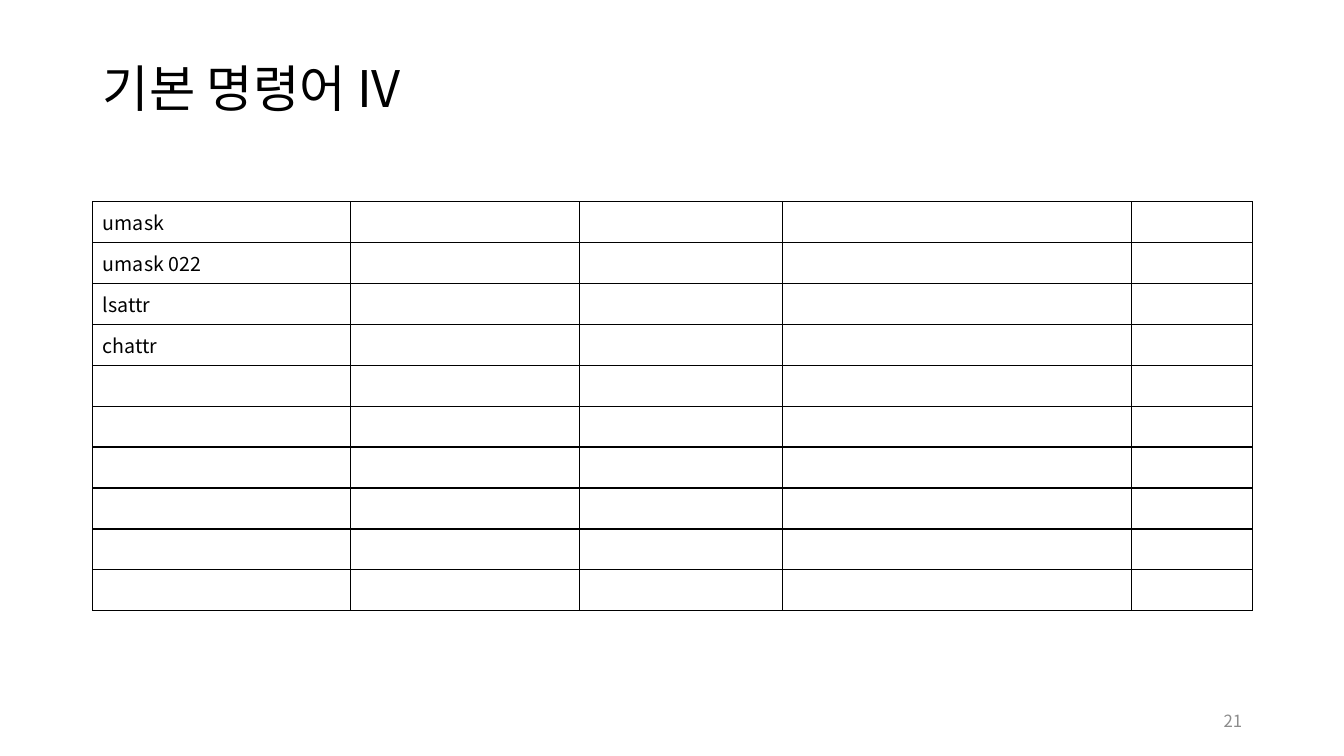
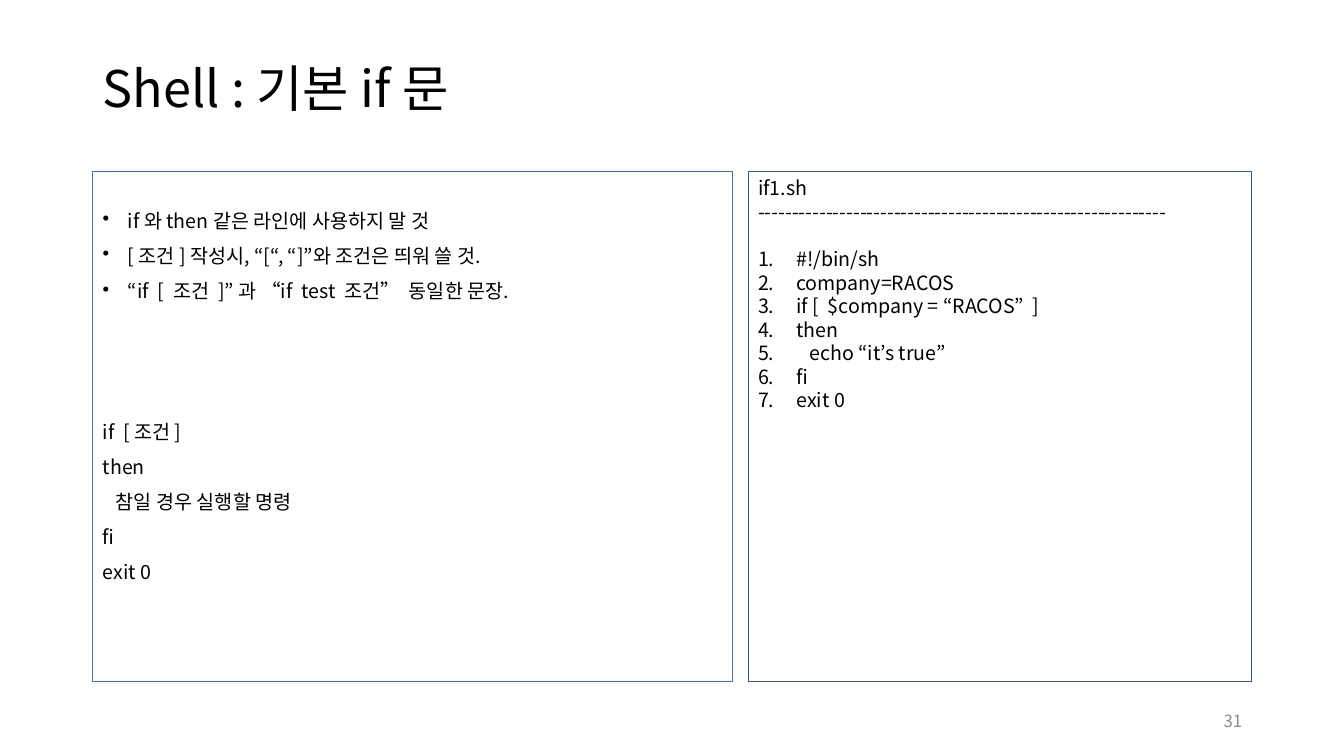
"""Build two slides on basic shell commands and the shell if statement."""
import lxml.etree
import pptx
import pptx.dml.color
import pptx.enum.shapes
import pptx.enum.text
import pptx.oxml.ns
import pptx.util
from pptx.util import Inches, Pt

FONT = "Noto Sans CJK KR"
COLORS = {"text": "000000", "number": "8C8C8C", "grid": "000000", "notes": "4472C4", "code": "325491"}
MIDDLE = pptx.enum.text.MSO_ANCHOR.MIDDLE
qn = pptx.oxml.ns.qn


def style(para, size, color="text", bullet=None, indent=0):
    props = para._p.get_or_add_pPr()
    if bullet:
        props.set("marL", str(Inches(indent)))
        props.set("indent", str(-Inches(indent)))
        tag, key, value = bullet
        lxml.etree.SubElement(props, qn(tag)).set(key, value)
    para.font.size = Pt(size)
    para.font.color.rgb = pptx.dml.color.RGBColor.from_string(COLORS[color])
    para.font.name = FONT
    lxml.etree.SubElement(props.find(qn("a:defRPr")), qn("a:ea")).set("typeface", FONT)


def add_label(page, text, left, top, width, height, size, color="text"):
    box = page.shapes.add_textbox(Inches(left), Inches(top), Inches(width), Inches(height))
    box.text_frame.word_wrap = True
    box.text_frame.vertical_anchor = MIDDLE
    para = box.text_frame.paragraphs[0]
    para.text = text
    style(para, size, color)
    return para


deck = pptx.Presentation()
deck.slide_width, deck.slide_height = Inches(13.33), Inches(7.5)

pages = []
for title, number in (("기본 명령어 IV", "21"), ("Shell : 기본 if 문", "31")):
    page = deck.slides.add_slide(deck.slide_layouts[6])
    add_label(page, title, 0.92, 0.4, 11.5, 1.01, 36).line_spacing = 0.9
    add_label(page, number, 9.42, 6.95, 3, 0.4, 12, "number").alignment = pptx.enum.text.PP_ALIGN.RIGHT
    pages.append(page)
command_page, if_page = pages

commands = ["umask", "umask 022", "lsattr", "chattr"]
widths = [2.56, 2.27, 2.01, 3.46, 1.2]
row_count = 10
table = command_page.shapes.add_table(
    row_count, len(widths), Inches(0.92), Inches(2), Inches(11.5), Inches(4.06)).table
table.first_row = table.horz_banding = False
for column, width in zip(table.columns, widths):
    column.width = Inches(width)
for row_index, row in enumerate(table.rows):
    for column_index, cell in enumerate(row.cells):
        if column_index == 0 and row_index < len(commands):
            cell.text = commands[row_index]
        style(cell.text_frame.paragraphs[0], 14)
        cell.vertical_anchor = MIDDLE
        cell_props = cell._tc.get_or_add_tcPr()
        for side in ("a:lnL", "a:lnR", "a:lnT", "a:lnB"):
            border = lxml.etree.SubElement(cell_props, qn(side), w=str(Pt(1)))
            fill = lxml.etree.SubElement(border, qn("a:solidFill"))
            lxml.etree.SubElement(fill, qn("a:srgbClr")).set("val", COLORS["grid"])
        cell.fill.background()

dot = ("a:buChar", "char", "•")
numbered = ("a:buAutoNum", "type", "arabicPeriod")
notes = [
    ("if 와 then 같은 라인에 사용하지 말 것", dot, 0),
    ("[ 조건 ] 작성시, “[“, “]”와 조건은 띄워 쓸 것.", dot, 10),
    ("“if  [  조건  ]” 과 “if  test  조건”  동일한 문장.", dot, 10),
    ("if  [ 조건 ]", None, 85),
    ("then", None, 10),
    ("   참일 경우 실행할 명령", None, 10),
    ("fi", None, 10),
    ("exit 0", None, 10),
]
code = [
    ("if1.sh", None, 0),
    ("-" * 60, None, 0),
    ("#!/bin/sh", numbered, 17),
    ("company=RACOS", numbered, 0),
    ("if [  $company = “RACOS”  ]", numbered, 0),
    ("then", numbered, 0),
    ("   echo “it’s true”", numbered, 0),
    ("fi", numbered, 0),
    ("exit 0", numbered, 0),
]
panels = [
    (0.92, 6.35, "notes", 0.75, 0.4, 0.9, 0.25, notes),
    (7.42, 4.99, "code", 0.25, 0.05, 1.0, 0.38, code),
]
for left, width, outline, weight, inset, spacing, indent, lines in panels:
    panel = if_page.shapes.add_shape(
        pptx.enum.shapes.MSO_SHAPE.RECTANGLE, Inches(left), Inches(1.7), Inches(width), Inches(5.06))
    panel.shadow.inherit = False
    panel.fill.background()
    panel.line.color.rgb = pptx.dml.color.RGBColor.from_string(COLORS[outline])
    panel.line.width = Pt(weight)
    frame = panel.text_frame
    frame.word_wrap = True
    frame.vertical_anchor = pptx.enum.text.MSO_ANCHOR.TOP
    frame.margin_top = Inches(inset)
    for index, (text, bullet, gap) in enumerate(lines):
        para = frame.add_paragraph() if index else frame.paragraphs[0]
        para.text = text
        para.alignment = pptx.enum.text.PP_ALIGN.LEFT
        para.line_spacing = spacing
        if gap:
            para.space_before = Pt(gap)
        style(para, 14, bullet=bullet, indent=indent)

deck.save("out.pptx")
